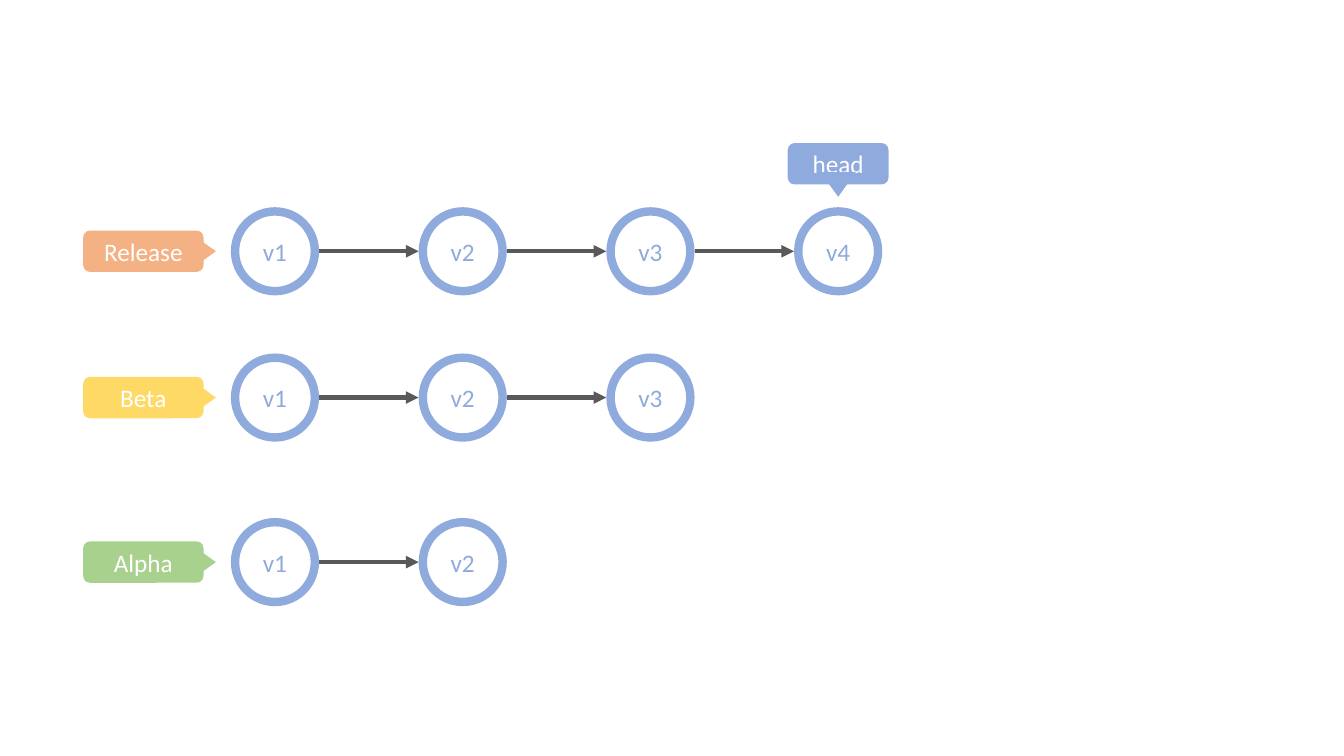
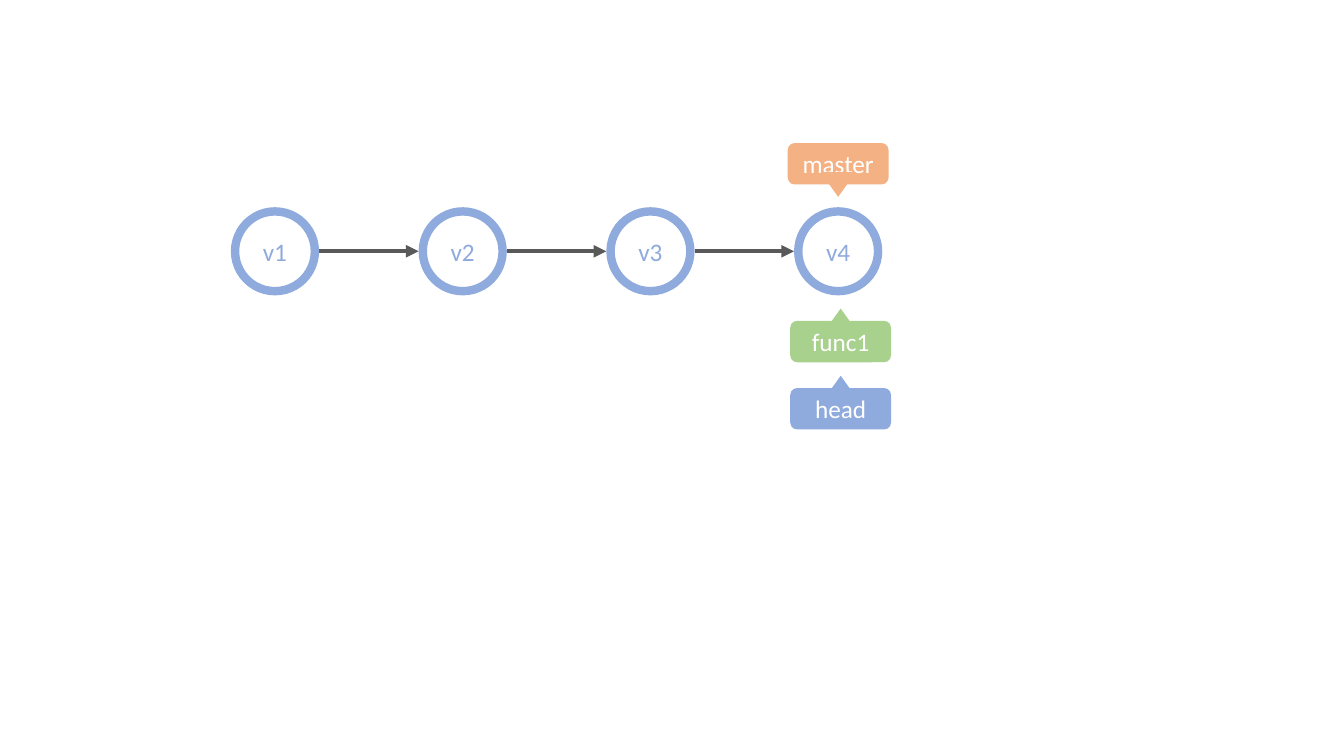
import pptx
import pptx.util
import pptx.dml.color
import pptx.enum.shapes
import pptx.enum.text
import pptx.oxml.ns
import lxml.etree

Pt = pptx.util.Pt
SHAPE = pptx.enum.shapes.MSO_SHAPE

COLOURS = {
    "blue": "8FAADC", "orange": "F4B183", "yellow": "FFD966",
    "green": "A9D18E", "grey": "595959", "white": "FFFFFF",
}

# Content: chains are (versions, centre y);
# tags are (text, colour, centre x, centre y, width, pointing direction)
SLIDES = [
    {
        "chains": [(4, 179.5), (3, 284), (2, 401.5)],
        "tags": [
            ("Release", "orange", 102.4, 179.5, 86, "right"),
            ("Beta", "yellow", 102.4, 284, 86, "right"),
            ("Alpha", "green", 102.4, 401.5, 86, "right"),
            ("head", "blue", 598.7, 117, 72, "down"),
        ],
    },
    {
        "chains": [(4, 179.5)],
        "tags": [
            ("master", "orange", 598.7, 117, 72, "down"),
            ("head", "blue", 600.5, 292, 72, "up"),
            ("func1", "green", 600.5, 244, 72, "up"),
        ],
    },
]

# Shared measures
FIRST_X, STEP = 196.4, 134.1
NODE_SIZE, NODE_LINE = 57, 6
NODE_REACH = (NODE_SIZE + NODE_LINE) / 2
TAG_HEIGHT = 29.6
POINTER_WIDTH, POINTER_HEIGHT = 25.2, 17.6
# Direction: (x, y, rotation)
POINTING = {"up": (0, -1, 0), "right": (1, 0, 90), "down": (0, 1, 180)}


def colour(name):
    return pptx.dml.color.RGBColor.from_string(COLOURS[name])


def add_centred(page, kind, x, y, width, height, fill=None):
    shape = page.shapes.add_shape(
        kind, Pt(x - width / 2), Pt(y - height / 2), Pt(width), Pt(height))
    shape.shadow.inherit = False
    if fill:
        shape.fill.solid()
        shape.fill.fore_color.rgb = colour(fill)
        shape.line.fill.background()
    else:
        shape.fill.background()
    return shape


def write(shape, text, text_colour):
    shape.text_frame.vertical_anchor = pptx.enum.text.MSO_ANCHOR.MIDDLE
    para = shape.text_frame.paragraphs[0]
    para.text = text
    para.alignment = pptx.enum.text.PP_ALIGN.CENTER
    para.font.name = "Calibri"
    para.font.size = Pt(18)
    para.font.color.rgb = colour(text_colour)


def add_arrow(page, start_x, end_x, y):
    arrow = page.shapes.add_connector(
        pptx.enum.shapes.MSO_CONNECTOR.STRAIGHT,
        Pt(start_x), Pt(y), Pt(end_x), Pt(y))
    arrow.line.color.rgb = colour("grey")
    arrow.line.width = Pt(3)
    qn = pptx.oxml.ns.qn
    lxml.etree.SubElement(arrow.line._get_or_add_ln(), qn("a:tailEnd"), type="triangle")
    lxml.etree.SubElement(arrow._element.spPr, qn("a:effectLst"))


def add_chain(page, versions, y):
    for index in range(versions):
        x = FIRST_X + index * STEP
        if index < versions - 1:
            add_arrow(page, x + NODE_REACH, x + STEP - NODE_REACH, y)
        node = add_centred(page, SHAPE.OVAL, x, y, NODE_SIZE, NODE_SIZE)
        node.line.color.rgb = colour("blue")
        node.line.width = Pt(NODE_LINE)
        write(node, f"v{index + 1}", "blue")


def add_tag(page, text, fill, x, y, width, direction):
    tag = add_centred(page, SHAPE.ROUNDED_RECTANGLE, x, y, width, TAG_HEIGHT, fill)
    write(tag, text, "white")
    # The pointer is centred on the edge it points out of
    across, down, rotation = POINTING[direction]
    pointer = add_centred(
        page, SHAPE.ISOSCELES_TRIANGLE,
        x + across * width / 2, y + down * TAG_HEIGHT / 2,
        POINTER_WIDTH, POINTER_HEIGHT, fill)
    pointer.rotation = rotation


# Build the deck
deck = pptx.Presentation()
deck.slide_width, deck.slide_height = Pt(960), Pt(540)
for content in SLIDES:
    page = deck.slides.add_slide(deck.slide_layouts[6])
    for chain in content["chains"]:
        add_chain(page, *chain)
    for tag in content["tags"]:
        add_tag(page, *tag)
deck.save("out.pptx")
